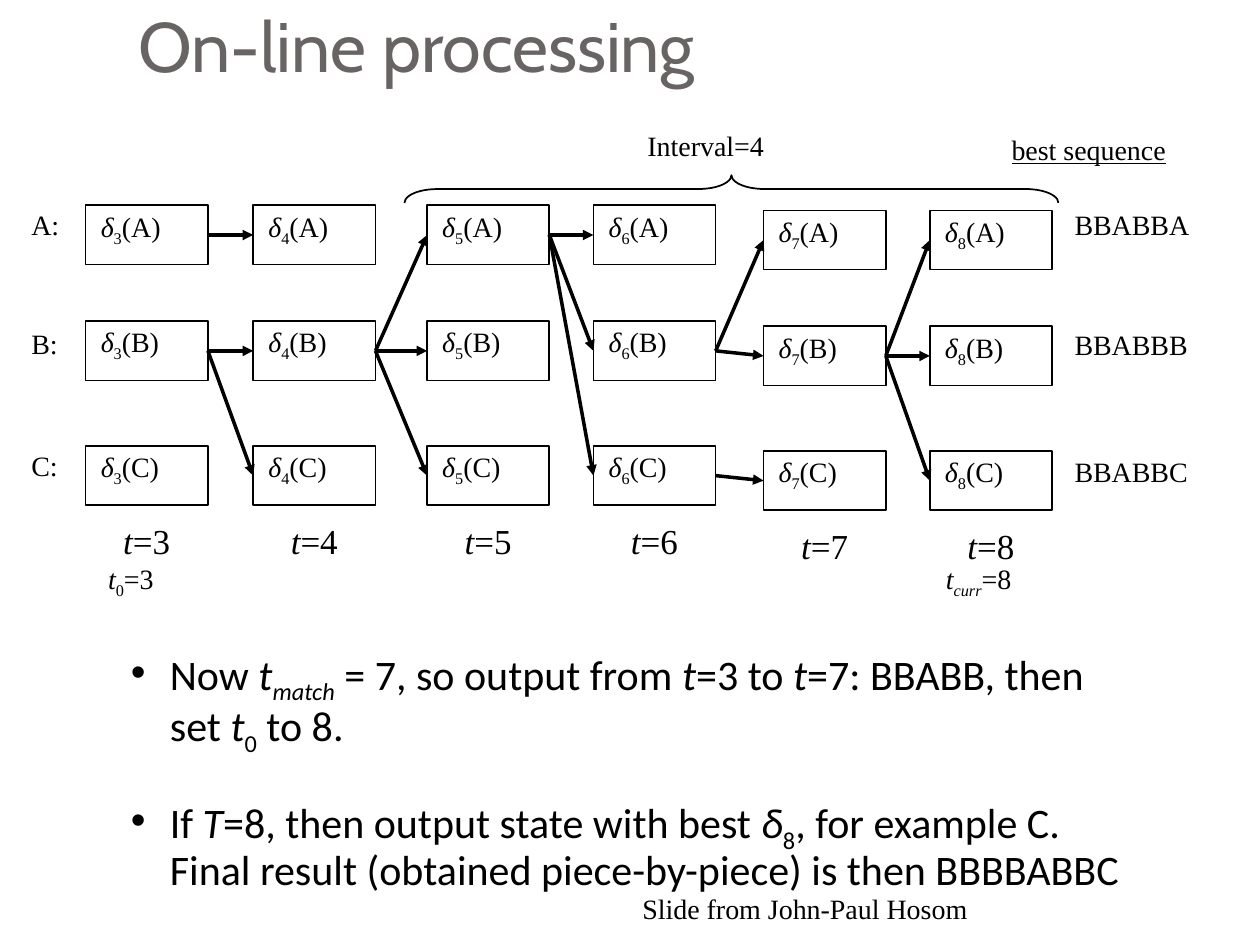
from pptx import Presentation
from pptx.dml.color import RGBColor
from pptx.enum.shapes import MSO_CONNECTOR, MSO_SHAPE
from pptx.enum.text import MSO_ANCHOR, PP_ALIGN
from pptx.oxml.ns import qn
from pptx.util import Inches, Pt
from lxml import etree

RECTANGLE = MSO_SHAPE.RECTANGLE
LEFT_BRACE = MSO_SHAPE.LEFT_BRACE
STRAIGHT = MSO_CONNECTOR.STRAIGHT
TOP, BOTTOM = MSO_ANCHOR.TOP, MSO_ANCHOR.BOTTOM
LEFT = PP_ALIGN.LEFT
LEFT_SIDE, RIGHT_SIDE = 1, 3

# Run styles, combined by letter: italic, subscript, underlined
ITALIC, SUB, UNDERLINE = "i", "s", "u"

BOX_W, BOX_H = 0.97, 0.47
# time step: (left, downward shift)
STEPS = {3: (0.68, 0), 4: (2.01, 0), 5: (3.39, 0),
         6: (4.71, 0), 7: (6.06, 0.04), 8: (7.38, 0.04)}
# state: (box top, label top, best sequence, sequence top)
STATES = {"A": (1.63, 1.6, "BBABBA", 1.6),
          "B": (2.55, 2.54, "BBABBB", 2.55),
          "C": (3.54, 3.51, "BBABBC", 3.56)}
# (time step, state, states reached at the next step)
TRANSITIONS = [(3, "A", "A"), (3, "B", "BC"), (4, "B", "ABC"), (5, "A", "ABC"),
               (6, "B", "AB"), (6, "C", "C"), (7, "B", "ABC")]

CONCLUSIONS = [
    [("Now ", ""), ("t", ITALIC), ("match", ITALIC + SUB),
     (" = 7, so output from ", ""), ("t", ITALIC), ("=3 to ", ""),
     ("t", ITALIC), ("=7: BBABB, then\nset ", ""), ("t", ITALIC),
     ("0", SUB), (" to 8.", "")],
    [("If ", ""), ("T", ITALIC), ("=8, then output state with best ", ""),
     ("δ", ITALIC), ("8", SUB),
     (", for example C.\nFinal result (obtained piece-by-piece) is then BBBBABBC", "")],
]


def rgb(value):
    return RGBColor.from_string(value)


class Trellis:
    INK = "000000"
    TITLE_INK = "696464"
    TITLE_FONT, BODY_FONT, LABEL_FONT = "Cabin", "Calibri", "Times New Roman"

    def __init__(self, slide):
        self.shapes = slide.shapes

    def add_runs(self, paragraph, runs, size, font=LABEL_FONT, color=INK):
        """Add (text, style letters) runs; a newline becomes a line break."""
        paragraph.alignment = LEFT
        for text, style in runs:
            for number, line in enumerate(text.split("\n")):
                if number:
                    paragraph.add_line_break()
                run = paragraph.add_run()
                run.text = line
                run.font.size = Pt(size)
                run.font.name = font
                run.font.color.rgb = rgb(color)
                run.font.italic = ITALIC in style
                run.font.underline = UNDERLINE in style
                if SUB in style:
                    run.font._element.set("baseline", "-25000")

    def frame(self, left, top, width, height):
        box = self.shapes.add_textbox(*map(Inches, (left, top, width, height)))
        box.text_frame.word_wrap = True
        return box.text_frame

    def label(self, left, top, width, runs, size=16, height=0.5):
        frame = self.frame(left, top, width, height)
        self.add_runs(frame.paragraphs[0], runs, size)

    def title(self, text):
        frame = self.frame(1, 0.17, 8.5, 0.62)
        frame.vertical_anchor = BOTTOM
        frame.margin_bottom = Inches(0.1)
        self.add_runs(frame.paragraphs[0], [(text, "")], 40,
                      self.TITLE_FONT, self.TITLE_INK)

    def bullets(self, left, top, width, height, items):
        frame = self.frame(left, top, width, height)
        for number, runs in enumerate(items):
            paragraph = frame.add_paragraph() if number else frame.paragraphs[0]
            paragraph.line_spacing = 0.9
            paragraph.space_before = Pt(26 if number else 0)
            self.add_runs(paragraph, runs, 24, self.BODY_FONT)
            properties = paragraph._p.get_or_add_pPr()
            properties.set("marL", str(Inches(0.31)))
            properties.set("indent", str(Inches(-0.31)))
            etree.SubElement(properties, qn("a:buFont")).set("typeface", "Arial")
            etree.SubElement(properties, qn("a:buChar")).set("char", "•")

    def outline(self, kind, left, top, width, height):
        shape = self.shapes.add_shape(kind, *map(Inches, (left, top, width, height)))
        shape.shadow.inherit = False
        shape.fill.background()
        shape.line.color.rgb = rgb(self.INK)
        shape.line.width = Pt(1)
        return shape

    def state_box(self, left, top, runs):
        box = self.outline(RECTANGLE, left, top, BOX_W, BOX_H)
        frame = box.text_frame
        frame.vertical_anchor = TOP
        frame.margin_left, frame.margin_top = Inches(0.12), Inches(0.03)
        self.add_runs(frame.paragraphs[0], runs, 16)
        return box

    def brace(self, left, top, width, height):
        """Draw a brace that opens downwards, by turning a left brace."""
        shape = self.outline(LEFT_BRACE, left + (width - height) / 2,
                             top + (height - width) / 2, height, width)
        shape.rotation = 90
        shape.adjustments[0] = 1.19
        shape.adjustments[1] = 0.5

    def arrow(self, source, target):
        arrow = self.shapes.add_connector(STRAIGHT, 0, 0, 0, 0)
        arrow.begin_connect(source, RIGHT_SIDE)
        arrow.end_connect(target, LEFT_SIDE)
        arrow.line.color.rgb = rgb(self.INK)
        arrow.line.width = Pt(2)
        line = arrow.line._get_or_add_ln()
        etree.SubElement(line, qn("a:tailEnd")).set("type", "triangle")
        etree.SubElement(arrow._element.spPr, qn("a:effectLst"))


def main():
    presentation = Presentation()
    presentation.slide_width, presentation.slide_height = Inches(10), Inches(7.5)
    slide = presentation.slides.add_slide(presentation.slide_layouts[6])
    trellis = Trellis(slide)

    trellis.title("On-line processing")
    trellis.label(5, 7.03, 4.33, [("Slide from John-Paul Hosom", "")])
    trellis.bullets(0.94, 5.1, 9.04, 1.89, CONCLUSIONS)

    boxes = {}
    for step, (left, shift) in STEPS.items():
        for state, (top, *_) in STATES.items():
            boxes[step, state] = trellis.state_box(
                left, top + shift,
                [("δ", ITALIC), (str(step), SUB), (f"({state})", "")])
        trellis.label(left + 0.2, 4.07 + shift, 0.7,
                      [("t", ITALIC), (f"={step}", "")], 20, 0.43)

    for step, state, reached in TRANSITIONS:
        for following in reached:
            trellis.arrow(boxes[step, state], boxes[step + 1, following])

    for state, (_, label_top, sequence, sequence_top) in STATES.items():
        trellis.label(0.15, label_top, 0.53, [(f"{state}:", "")])
        trellis.label(8.43, sequence_top, 1.57, [(sequence, "")])

    trellis.label(0.76, 4.41, 0.76, [("t", ITALIC), ("0", SUB), ("=3", "")])
    trellis.label(7.41, 4.41, 1.03,
                  [("t", ITALIC), ("curr", ITALIC + SUB), ("=8", "")])
    trellis.label(7.93, 1, 2.04, [("best sequence", UNDERLINE)])
    trellis.brace(3.21, 1.39, 5.19, 0.22)
    trellis.label(5.04, 0.97, 1.59, [("Interval=4", "")])

    presentation.save("out.pptx")


if __name__ == "__main__":
    main()
